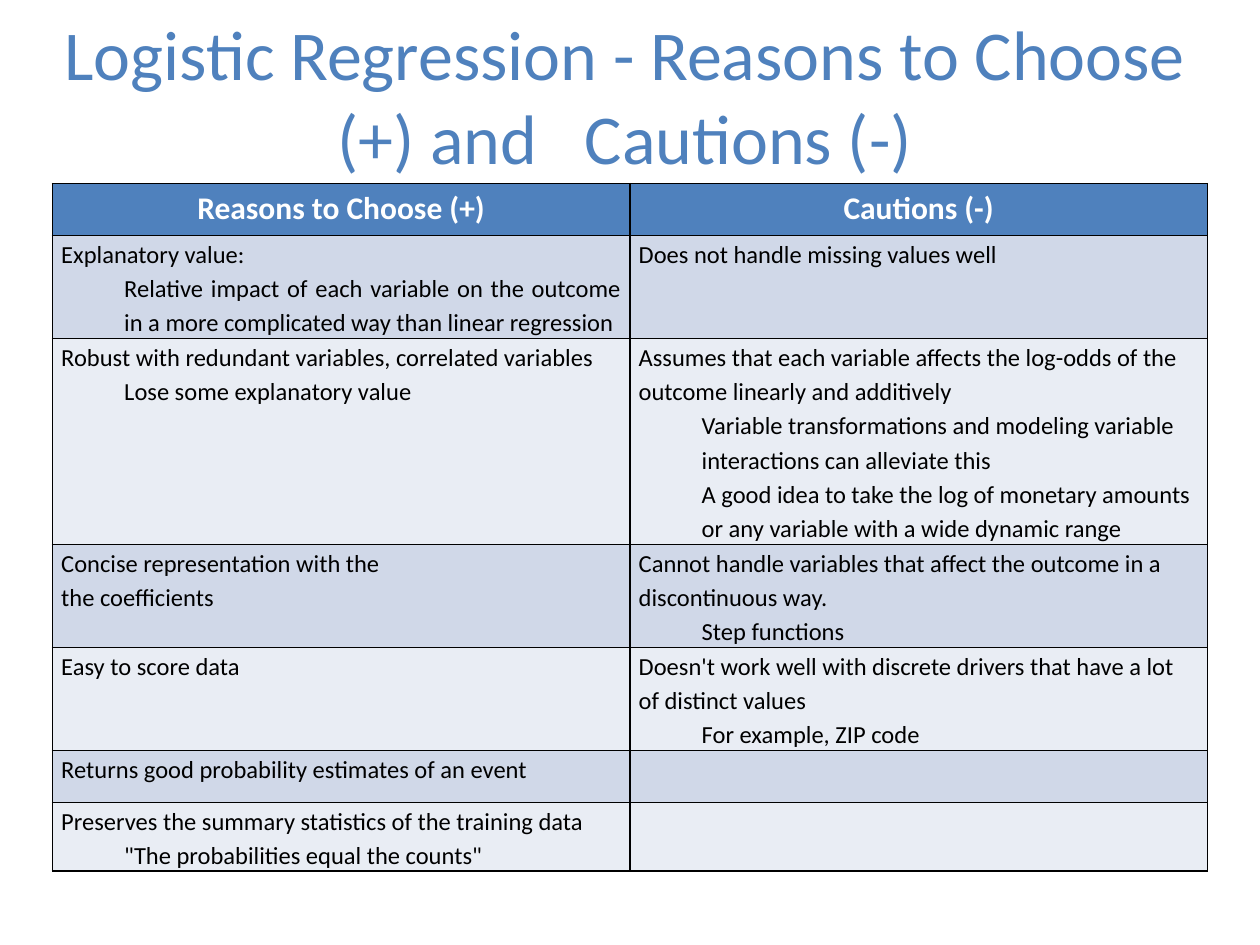
"""Build a slide weighing the reasons to choose logistic regression against its cautions."""
from lxml.etree import SubElement
from pptx import Presentation
from pptx.dml.color import RGBColor
from pptx.enum.text import MSO_ANCHOR, MSO_AUTO_SIZE, PP_ALIGN
from pptx.oxml.ns import qn
from pptx.util import Pt

BLUE = RGBColor(0x4F, 0x81, 0xBD)
BAND_DARK = RGBColor(0xD0, 0xD8, 0xE8)
BAND_LIGHT = RGBColor(0xE9, 0xED, 0xF4)
BLACK = RGBColor(0, 0, 0)
WHITE = RGBColor(0xFF, 0xFF, 0xFF)

TITLE = "Logistic Regression - Reasons to Choose (+) and   Cautions (-)"
HEADINGS = ("Reasons to Choose (+)", "Cautions (-)")
ROWS = [
    (59, "Explanatory value:\n"
         "\tRelative impact of each variable on the outcome in a more "
         "complicated way than linear regression",
         "Does not handle missing values well"),
    (117.5, "Robust with redundant variables, correlated variables\n"
            "\tLose some explanatory value",
            "Assumes that each variable affects the log-odds of the outcome "
            "linearly and additively\n"
            "\tVariable transformations and modeling variable interactions "
            "can alleviate this\n"
            "\tA good idea to take the log of monetary amounts or any variable "
            "with a wide dynamic range"),
    (59, "Concise representation with the\nthe coefficients",
         "Cannot handle variables that affect the outcome in a discontinuous way.\n"
         "\tStep functions"),
    (59, "Easy to score data",
         "Doesn't work well with discrete drivers that have a lot of distinct values\n"
         "\tFor example, ZIP code"),
    (29.5, "Returns good probability estimates of an event", ""),
    (39, "Preserves the summary statistics of the training data\n"
         "\t\"The probabilities equal the counts\"", ""),
]


class SlideBuilder:
    """Hold the shared style and the slide being filled."""

    font = "Calibri"
    indent = Pt(36)
    border = Pt(1)

    def __init__(self, slide):
        self.slide = slide

    def format_paragraph(self, paragraph, size, color, align, bold=False):
        """Align a paragraph and style its runs."""
        paragraph.alignment = align
        for run in paragraph.runs:
            run.font.name = self.font
            run.font.size = Pt(size)
            run.font.bold = bold
            run.font.color.rgb = color

    def add_title(self, text, left, top, width, height):
        """Place and fill the title placeholder."""
        title = self.slide.shapes.title
        title.left, title.top = Pt(left), Pt(top)
        title.width, title.height = Pt(width), Pt(height)
        frame = title.text_frame
        frame.text = text
        frame.word_wrap = True
        frame.auto_size = MSO_AUTO_SIZE.NONE
        frame.vertical_anchor = MSO_ANCHOR.MIDDLE
        self.format_paragraph(frame.paragraphs[0], 40, BLUE, PP_ALIGN.CENTER)

    def add_borders(self, cell):
        """Draw a black line on every side of a cell."""
        properties = cell._tc.get_or_add_tcPr()
        for side in ("a:lnL", "a:lnR", "a:lnT", "a:lnB"):
            line = SubElement(properties, qn(side), w=str(self.border))
            fill = SubElement(line, qn("a:solidFill"))
            SubElement(fill, qn("a:srgbClr"), val=str(BLACK))

    def fill_cell(self, cell, text, fill, size, color, align, bold=False):
        """Write text in a cell, indenting the lines that start with a tab."""
        cell.margin_left = cell.margin_right = Pt(5)
        cell.margin_top = cell.margin_bottom = 0
        self.add_borders(cell)
        cell.fill.solid()
        cell.fill.fore_color.rgb = fill
        lines = text.split("\n")
        cell.text_frame.text = "\n".join(line.strip() for line in lines)
        for line, paragraph in zip(lines, cell.text_frame.paragraphs):
            paragraph.line_spacing = 1.15
            self.format_paragraph(paragraph, size, color, align, bold)
            if line.startswith("\t"):
                paragraph._p.get_or_add_pPr().set("marL", str(self.indent))

    def add_comparison(self, headings, rows, left, top, width, heading_height):
        """Add the two-column table with a heading row and banded rows."""
        heights = [heading_height] + [height for height, *_ in rows]
        comparison = self.slide.shapes.add_table(
            len(heights), len(headings),
            Pt(left), Pt(top), Pt(width), Pt(sum(heights))).table
        for row, height in zip(comparison.rows, heights):
            row.height = Pt(height)
        for column, heading in enumerate(headings):
            self.fill_cell(comparison.cell(0, column), heading, BLUE, 18, WHITE,
                           PP_ALIGN.CENTER, bold=True)
        alignments = (PP_ALIGN.JUSTIFY, PP_ALIGN.LEFT)
        for number, (_, *texts) in enumerate(rows, start=1):
            band = BAND_DARK if number % 2 else BAND_LIGHT
            for column, (text, align) in enumerate(zip(texts, alignments)):
                self.fill_cell(comparison.cell(number, column), text, band, 14,
                               BLACK, align)


def main():
    """Create the presentation and save it."""
    presentation = Presentation()
    presentation.slide_width, presentation.slide_height = Pt(720), Pt(540)
    builder = SlideBuilder(
        presentation.slides.add_slide(presentation.slide_layouts[5]))
    builder.add_title(TITLE, 24, 24, 666, 60)
    builder.add_comparison(HEADINGS, ROWS, 30, 105, 660, 29.5)
    presentation.save("out.pptx")


if __name__ == "__main__":
    main()
